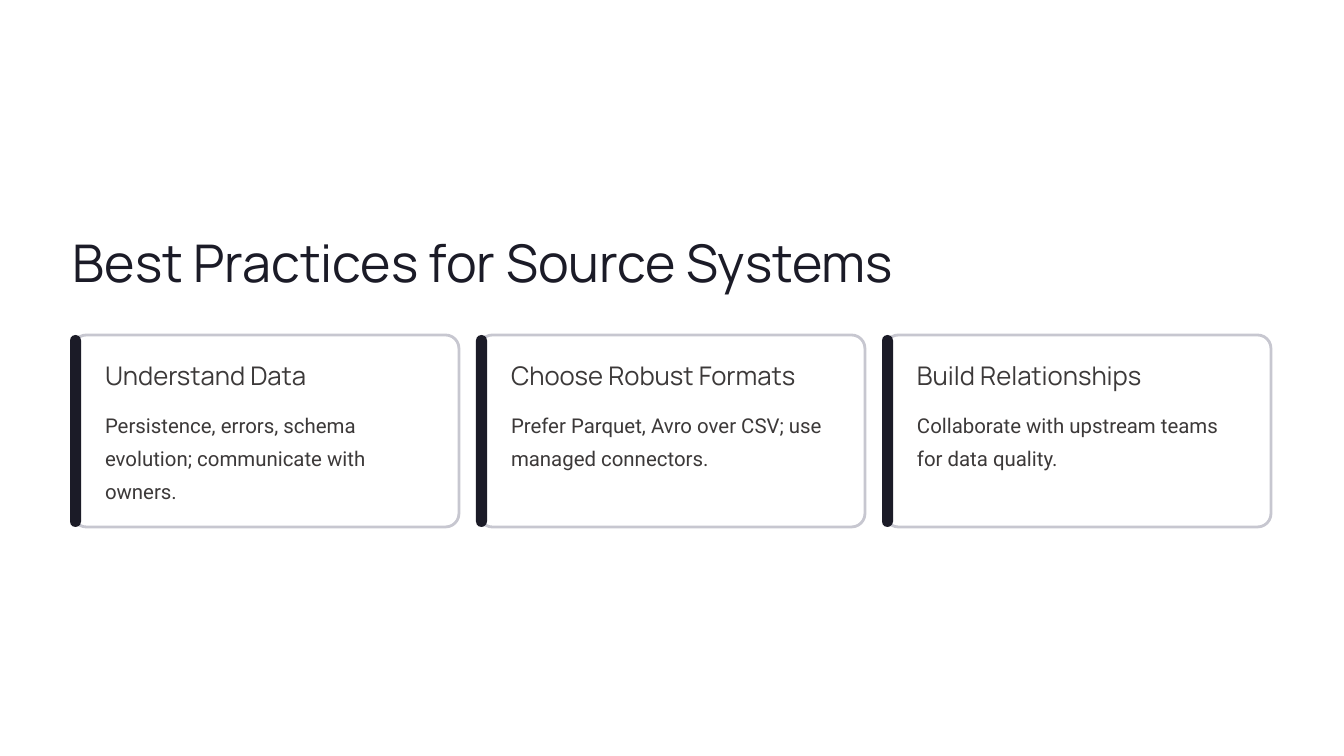
from lxml import etree
from pptx import Presentation
from pptx import util as u
from pptx.dml.color import RGBColor
from pptx.enum import shapes, text
from pptx.oxml import ns

PX = u.Inches(1) / 84
INK = RGBColor(0x1B, 0x1B, 0x27)
GRAY = RGBColor(0x3C, 0x39, 0x39)
BORDER = RGBColor(0xC7, 0xC7, 0xD0)
WHITE = RGBColor(0xFF, 0xFF, 0xFF)

TITLE = {"name": "Manrope", "size": u.Pt(44.5)}
HEADING = {"name": "Manrope", "size": u.Pt(22)}
BODY = {"name": "Roboto", "size": u.Pt(17.5)}

CARD_LEFT, CARD_TOP, CARD_W, CARD_H = 73, 335, 386, 192
CARD_PITCH = 406
CARDS = [
    ("Understand Data",
     "Persistence, errors, schema evolution; communicate with owners."),
    ("Choose Robust Formats",
     "Prefer Parquet, Avro over CSV; use managed connectors."),
    ("Build Relationships",
     "Collaborate with upstream teams for data quality."),
]


def px(*values):
    return [u.Emu(round(v * PX)) for v in values]


def add_text(s, box, words, font, color, spacing):
    tf = s.shapes.add_textbox(*px(*box)).text_frame
    frame = {"margin_left": 0, "margin_top": 0, "margin_right": 0,
             "margin_bottom": 0, "word_wrap": True,
             "vertical_anchor": text.MSO_ANCHOR.TOP}
    for key, value in frame.items():
        setattr(tf, key, value)
    p = tf.paragraphs[0]
    p.line_spacing = u.Pt(spacing)
    r = p.add_run()
    r.text = words
    for key, value in font.items():
        setattr(r.font, key, value)
    r.font.color.rgb = color


def add_rounded(s, box, radius, fill):
    sp = s.shapes.add_shape(shapes.MSO_SHAPE.ROUNDED_RECTANGLE, *px(*box))
    sp.shadow.inherit = False
    sp.adjustments[0] = radius
    sp.fill.solid()
    sp.fill.fore_color.rgb = fill
    sp.line.fill.background()
    return sp


def set_opacity(sp, percent):
    color = sp.fill._xPr.find(ns.qn("a:solidFill"))[0]
    etree.SubElement(color, ns.qn("a:alpha")).set("val", str(percent * 1000))


def add_card(s, left, heading, body):
    sp = add_rounded(s, (left, CARD_TOP, CARD_W, CARD_H), 0.07, WHITE)
    set_opacity(sp, 95)
    sp.line.color.rgb = BORDER
    sp.line.width = u.Pt(2.4)
    add_rounded(s, (left - 3, CARD_TOP, 11, CARD_H), 0.5, INK)
    add_text(s, (left + 32, CARD_TOP + 24, 330, 33), heading,
             HEADING, GRAY, 27.5)
    add_text(s, (left + 32, CARD_TOP + 69, 330, 100), body,
             BODY, GRAY, 28.5)


def main():
    prs = Presentation()
    prs.slide_width, prs.slide_height = px(1344, 756)
    s = prs.slides.add_slide(prs.slide_layouts[6])
    s.background.fill.solid()
    s.background.fill.fore_color.rgb = WHITE
    add_text(s, (CARD_LEFT, 228, 900, 66), "Best Practices for Source Systems",
             TITLE, INK, 55.5)
    for i, (heading, body) in enumerate(CARDS):
        add_card(s, CARD_LEFT + i * CARD_PITCH, heading, body)
    prs.save("out.pptx")


if __name__ == "__main__":
    main()
